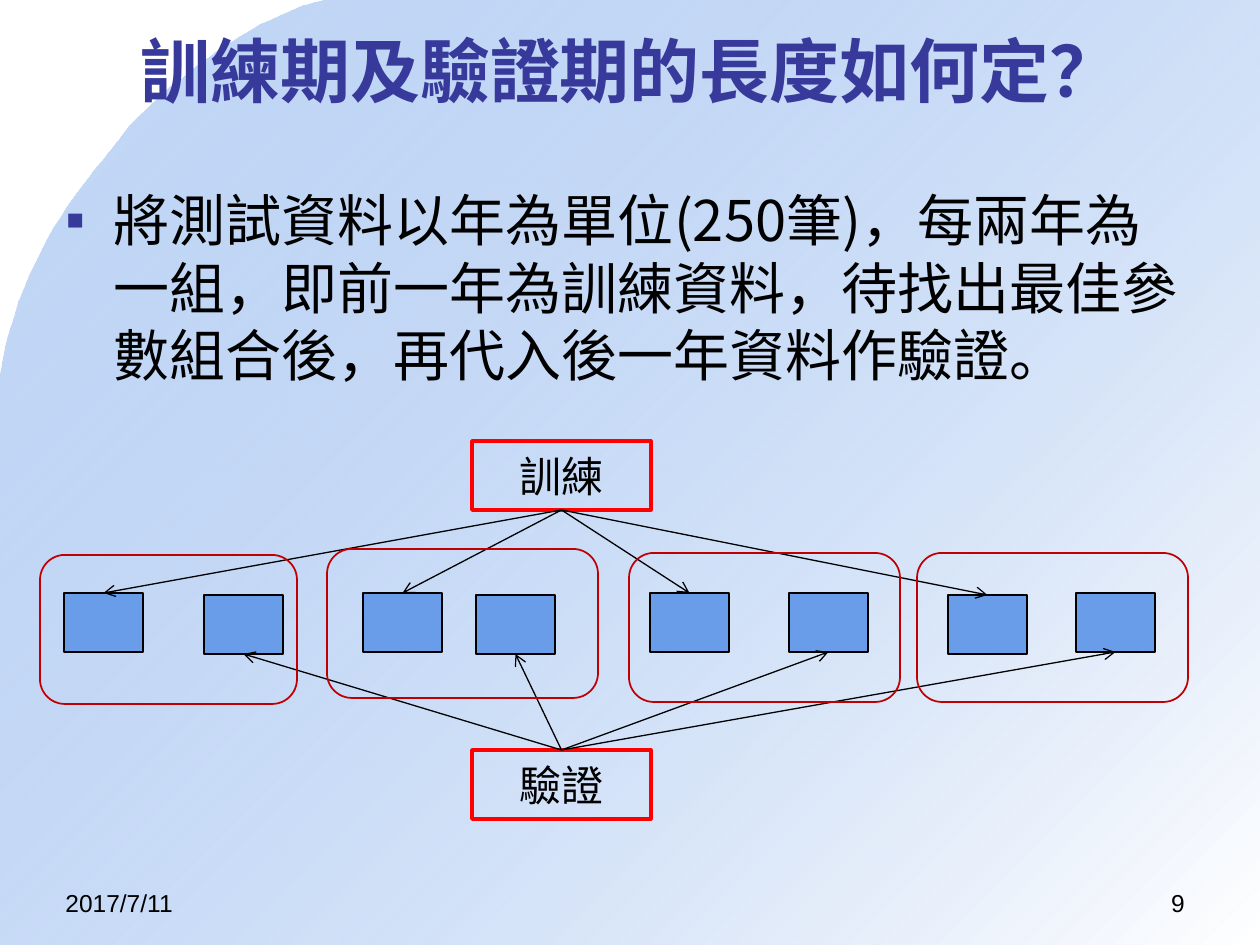
from dataclasses import dataclass

from lxml import etree
from pptx import Presentation
from pptx.dml.color import RGBColor
from pptx.enum.shapes import MSO_CONNECTOR, MSO_SHAPE
from pptx.enum.text import MSO_ANCHOR, PP_ALIGN
from pptx.oxml.ns import qn
from pptx.util import Pt

RECT, ROUND = MSO_SHAPE.RECTANGLE, MSO_SHAPE.ROUNDED_RECTANGLE
STRAIGHT = MSO_CONNECTOR.STRAIGHT
TOP, MIDDLE = MSO_ANCHOR.TOP, MSO_ANCHOR.MIDDLE
LEFT, CENTER, RIGHT = PP_ALIGN.LEFT, PP_ALIGN.CENTER, PP_ALIGN.RIGHT
SCALE = 914400 / 126
WIDE, HIGH = 1260, 945


@dataclass(frozen=True)
class Theme:
    """Colours, fonts and type sizes of the slide."""
    ink: str = "000000"
    navy: str = "37399B"
    blue: str = "699DE9"
    white: str = "FFFFFF"
    red: str = "FF0000"
    wine: str = "C00000"
    sans: str = "Arial"
    han: str = "Noto Sans CJK SC"
    title: int = 40
    body: int = 32
    label: int = 24
    foot: int = 14


THEME = Theme()


def px(num):
    """Turn pixels into EMU."""
    return round(num * SCALE)


def rgb(code):
    """Turn a hex code into a colour."""
    return RGBColor.from_string(code)


def write(frame, text, size, font, color=THEME.ink, align=LEFT, anchor=TOP, bold=False):
    """Write one run of text into a frame and return its paragraph."""
    frame.word_wrap = True
    frame.vertical_anchor = anchor
    para = frame.paragraphs[0]
    para.alignment = align
    run = para.add_run()
    run.text = text
    run.font.size, run.font.bold, run.font.name = Pt(size), bold, font
    run.font.color.rgb = rgb(color)
    etree.SubElement(run.font._element, qn("a:ea"), typeface=font)
    return para


def label(slide, box, *args, **opts):
    """Place a text box and return its paragraph."""
    shape = slide.shapes.add_textbox(*map(px, box))
    return write(shape.text_frame, *args, **opts)


def block(slide, kind, box, line, width, fill=None):
    """Place a preset shape with an outline and an optional fill."""
    shape = slide.shapes.add_shape(kind, *map(px, box))
    shape.shadow.inherit = False
    if fill:
        shape.fill.solid()
        shape.fill.fore_color.rgb = rgb(fill)
    else:
        shape.fill.background()
    shape.line.color.rgb = rgb(line)
    shape.line.width = Pt(width)
    return shape


def curve(start, ctrl, steps=24):
    """List the points of a cubic curve after its start."""
    nodes = (start, *ctrl)
    points = []
    for i in range(1, steps + 1):
        t = i / steps
        parts = ((1 - t) ** 3, 3 * t * (1 - t) ** 2, 3 * t * t * (1 - t), t ** 3)
        points.append(tuple(sum(w * n[k] for w, n in zip(parts, nodes)) for k in (0, 1)))
    return points


def backdrop(slide, box):
    """Draw the curved gradient field that fills the box."""
    x, y, w, h = box
    start, mid, end = (x + 325, y), (x + 123, y + 135), (x, y + 379)
    points = curve(start, ((x + 239, y + 20), (x + 146, y + 105), mid))
    points += curve(mid, ((x + 101, y + 166), (x + 20, y + 244), end))
    points += [(x, y + h), (x + w, y + h), (x + w, y)]
    pen = slide.shapes.build_freeform(*start, scale=SCALE)
    pen.add_line_segments(points, close=True)
    shape = pen.convert_to_shape()
    shape.shadow.inherit = False
    shape.line.fill.background()
    shape.fill.gradient()
    shape.fill.gradient_angle = 315
    for stop, color in zip(shape.fill.gradient_stops, (THEME.blue, THEME.white)):
        stop.color.rgb = rgb(color)
    tint = shape._element.spPr.find(".//" + qn("a:srgbClr"))
    etree.SubElement(tint, qn("a:alpha"), val="39000")


def bullet(slide, box, text):
    """Place the bulleted body text."""
    para = label(slide, box, text, THEME.body, THEME.han)
    para.line_spacing, para.space_before = Pt(38.6), Pt(6.4)
    props = para._p.get_or_add_pPr()
    props.set("marL", str(px(48)))
    props.set("indent", str(px(-48)))
    tint = etree.SubElement(props, qn("a:buClr"))
    etree.SubElement(tint, qn("a:srgbClr"), val=THEME.navy)
    etree.SubElement(props, qn("a:buFont"), typeface=THEME.sans)
    etree.SubElement(props, qn("a:buChar"), char="▪")


def arrow(slide, hub, out, year, side):
    """Join a hub to a year block with an arrow."""
    line = slide.shapes.add_connector(STRAIGHT, 0, 0, 0, 0)
    line.begin_connect(hub, out)
    line.end_connect(year, side)
    line.line.color.rgb = rgb(THEME.ink)
    line.line.width = Pt(0.75)
    props = line._element.spPr
    etree.SubElement(props.find(qn("a:ln")), qn("a:tailEnd"), type="arrow")
    etree.SubElement(props, qn("a:effectLst"))


def hub(slide, box, text, out, years):
    """Place a named hub and its arrows to the year blocks."""
    shape = block(slide, RECT, box, THEME.red, 2)
    write(shape.text_frame, text, THEME.label, THEME.sans, align=CENTER, anchor=MIDDLE)
    for year in years:
        arrow(slide, shape, out, year, 2 - out)


def pair(slide, box, spots):
    """Place the two year blocks of one group."""
    x, y = box[:2]
    return [block(slide, RECT, (x + dx, y + dy, 79, 59), THEME.ink, 0.75, THEME.blue)
            for dx, dy in spots]


def diagram(slide, box):
    """Draw the year groups between the training and checking hubs."""
    x, y = box[:2]
    groups = (
        ((0, 114, 257, 149), ((24, 38), (164, 40))),
        ((287, 108, 271, 149), ((36, 44), (149, 46))),
        ((589, 112, 271, 149), ((21, 40), (160, 40))),
        ((877, 112, 271, 149), ((31, 42), (159, 40))),
    )
    frames = [(x + dx, y + dy, w, h) for (dx, dy, w, h), _ in groups]
    pairs = [pair(slide, frame, spots) for frame, (_, spots) in zip(frames, groups)]
    train, check = zip(*pairs)
    hub(slide, (x + 432, y, 179, 69), "訓練", 2, train)
    hub(slide, (x + 432, y + 309, 179, 69), "驗證", 0, check)
    for frame in frames:
        block(slide, ROUND, frame, THEME.wine, 1)


def footer(slide, box):
    """Place the date and the page number at the two ends of the box."""
    x, y, w, h = box
    label(slide, (x, y, 294, h), "2017/7/11", THEME.foot, THEME.sans)
    label(slide, (x + w - 294, y, 294, h), "9", THEME.foot, THEME.sans, align=RIGHT)


def main():
    """Build the slide and save it."""
    deck = Presentation()
    deck.slide_width, deck.slide_height = px(WIDE), px(HIGH)
    slide = deck.slides.add_slide(deck.slide_layouts[6])
    backdrop(slide, (0, 0, WIDE, HIGH))
    label(slide, (63, 31, 1134, 78), "訓練期及驗證期的長度如何定？", THEME.title,
          THEME.han, THEME.navy, CENTER, MIDDLE, True)
    bullet(slide, (53, 179, 1144, 683),
           "將測試資料以年為單位(250筆)，每兩年為一組，即前一年為訓練資料，"
           "待找出最佳參數組合後，再代入後一年資料作驗證。")
    footer(slide, (53, 882, 1144, 44))
    diagram(slide, (40, 441, 1148, 378))
    deck.save("out.pptx")


if __name__ == "__main__":
    main()
